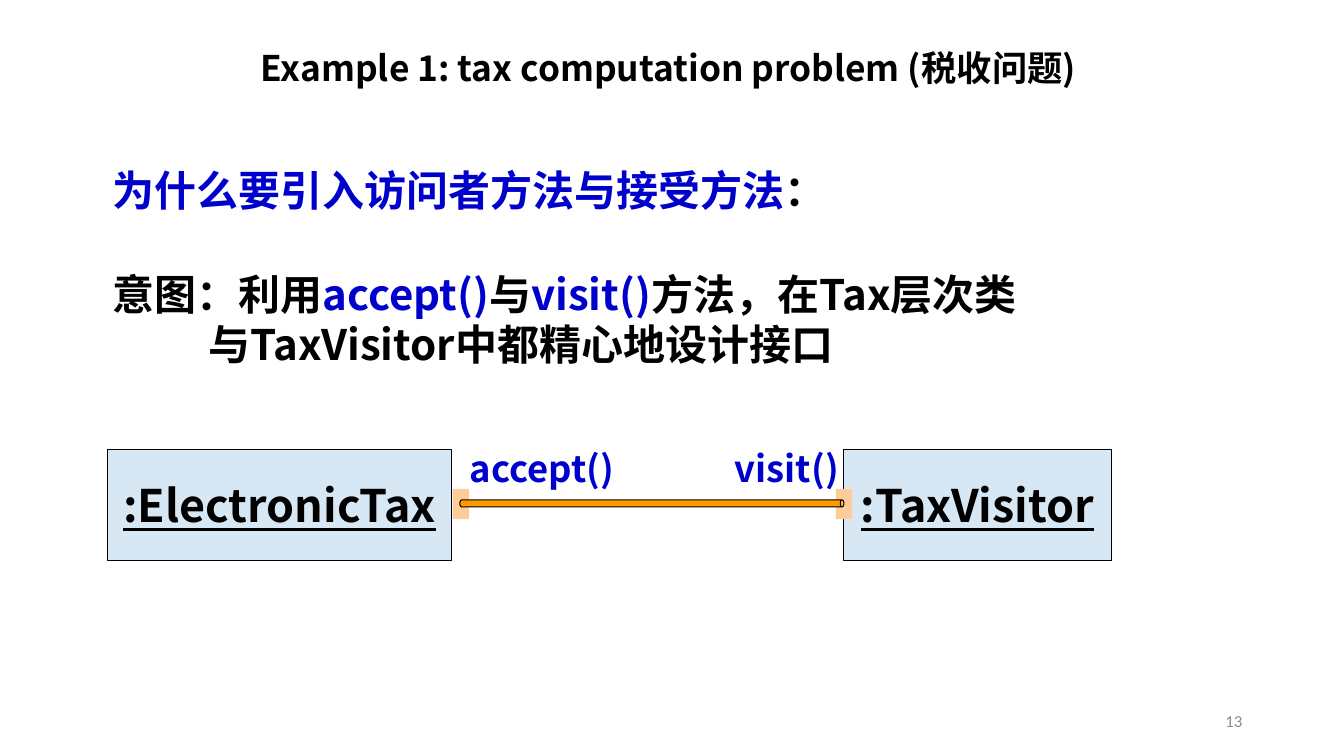
"""Build the slide on accept() and visit() in the tax computation example."""
from lxml.etree import SubElement
from pptx import Presentation
from pptx.dml.color import RGBColor
from pptx.enum.shapes import MSO_SHAPE
from pptx.enum.text import MSO_ANCHOR, PP_ALIGN
from pptx.oxml.ns import qn
from pptx.util import Inches, Pt

COLORS = {"black": "000000", "blue": "0000CC", "box": "5B9BD5",
          "port": "FFCC99", "link": "FF9900", "number": "8C8C8C"}
CJK = "Noto Sans CJK SC"

prs = Presentation()
prs.slide_width, prs.slide_height = Inches(13.33), Inches(7.5)
s = prs.slides.add_slide(prs.slide_layouts[6])


def write(p, runs, size, align=PP_ALIGN.LEFT, name=CJK, bold=True):
    p.alignment = align
    p.font.size, p.font.name, p.font.bold = Pt(size), name, bold
    SubElement(p._p.pPr.find(qn("a:defRPr")), qn("a:ea"), typeface=name)
    for text, color in runs:
        r = p.add_run()
        r.text = text
        r.font.color.rgb = RGBColor.from_string(COLORS[color])


def add_block(kind, left, top, width, height, fill, outlined):
    sp = s.shapes.add_shape(kind, Inches(left), Inches(top), Inches(width), Inches(height))
    sp.shadow.inherit = False
    sp.fill.solid()
    sp.fill.fore_color.rgb = RGBColor.from_string(COLORS[fill])
    if outlined:
        sp.line.color.rgb = RGBColor.from_string(COLORS["black"])
        sp.line.width = Pt(0.75)
    else:
        sp.line.fill.background()
    return sp


tf = s.shapes.add_textbox(Inches(2.13), Inches(0.39), Inches(9), Inches(0.61)).text_frame
tf.word_wrap = True
tf.vertical_anchor = MSO_ANCHOR.MIDDLE
write(tf.paragraphs[0], [("Example 1: tax computation problem (税收问题)", "black")],
      25.2, PP_ALIGN.CENTER)
tf.paragraphs[0].line_spacing = 0.9

tf = s.shapes.add_textbox(Inches(1.02), Inches(1.7), Inches(10.58), Inches(2.25)).text_frame
tf.word_wrap = True
body = [
    ([("为什么要引入访问者方法与接受方法", "blue"), ("：", "black")], 0.75, 0, 0),
    ([("意图：利用", "black"), ("accept()", "blue"), ("与", "black"),
      ("visit()", "blue"), ("方法，在Tax层次类", "black")], 1.0, 38.5, 0),
    ([("与TaxVisitor中都精心地设计接口", "black")], 1.0, 0, 0.95),
]
for i, (runs, spacing, before, indent) in enumerate(body):
    p = tf.add_paragraph() if i else tf.paragraphs[0]
    write(p, runs, 30)
    p.line_spacing, p.space_before = spacing, Pt(before)
    p._p.pPr.set("marL", str(Inches(indent)))

for label, left, width, port_left in ((":ElectronicTax", 1.07, 3.41, 4.49),
                                      (":TaxVisitor", 8.37, 2.65, 8.29)):
    sp = add_block(MSO_SHAPE.RECTANGLE, left, 4.46, width, 1.1, "box", True)
    SubElement(sp.fill._xPr.find(".//" + qn("a:srgbClr")), qn("a:alpha"), val="24000")
    tf = sp.text_frame
    tf.word_wrap = False
    tf.vertical_anchor = MSO_ANCHOR.MIDDLE
    p = tf.paragraphs[0]
    write(p, [(label, "black")], 32, PP_ALIGN.CENTER)
    p.font.underline = True
    add_block(MSO_SHAPE.RECTANGLE, port_left, 4.85, 0.16, 0.3, "port", False)

for label, left, width in (("accept()", 4.56, 1.68), ("visit()", 7.19, 1.25)):
    tf = s.shapes.add_textbox(Inches(left), Inches(4.38), Inches(width), Inches(0.54)).text_frame
    tf.word_wrap = False
    write(tf.paragraphs[0], [(label, "blue")], 26)

link = add_block(MSO_SHAPE.CAN, 6.43, 3.09, 0.07, 3.81, "link", True)
link.adjustments[0] = 0.51
link.rotation = 90

tf = s.shapes.add_textbox(Inches(9.42), Inches(6.95), Inches(3), Inches(0.4)).text_frame
tf.word_wrap = True
tf.vertical_anchor = MSO_ANCHOR.MIDDLE
write(tf.paragraphs[0], [("13", "number")], 12, PP_ALIGN.RIGHT, "Calibri", False)

prs.save("out.pptx")
